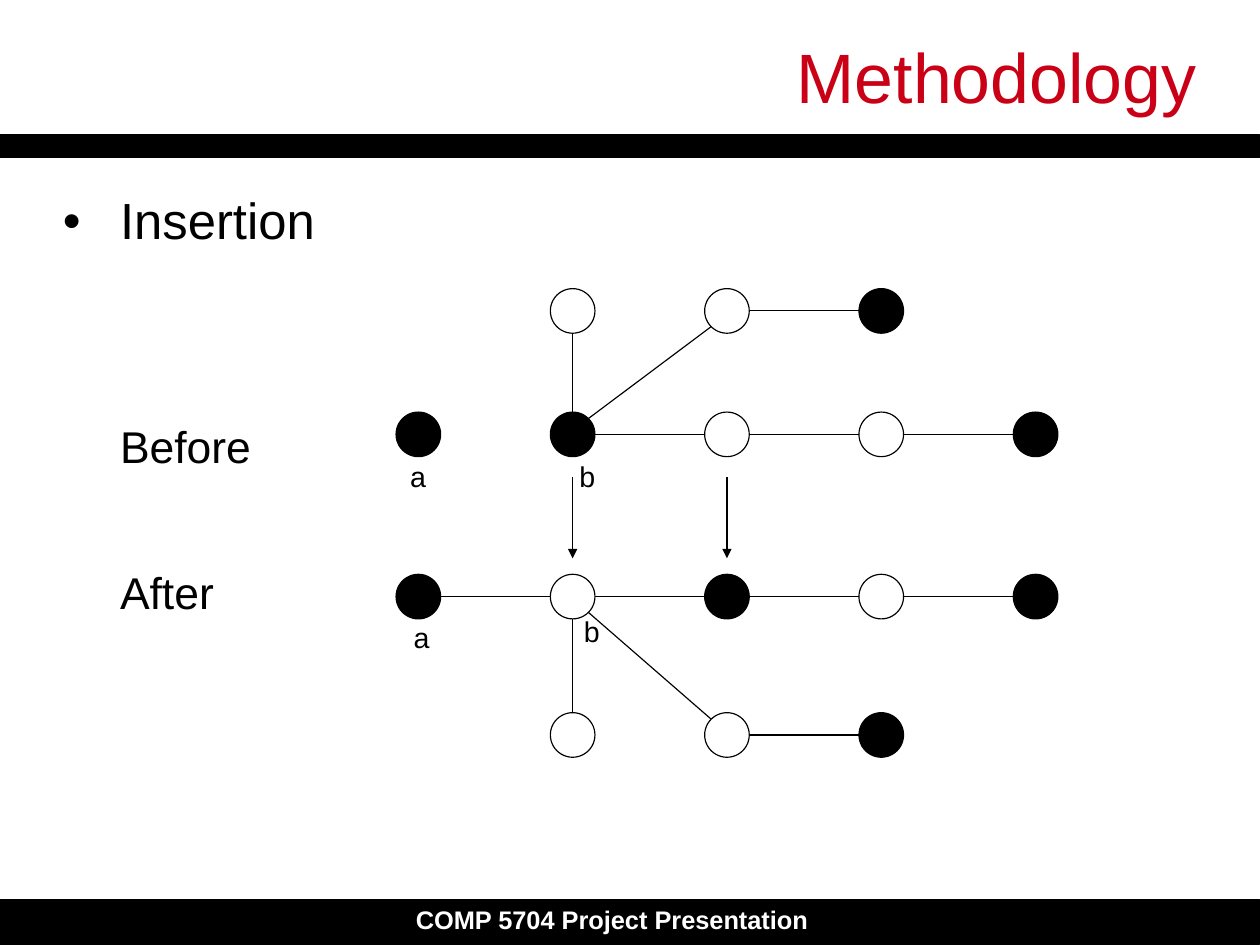
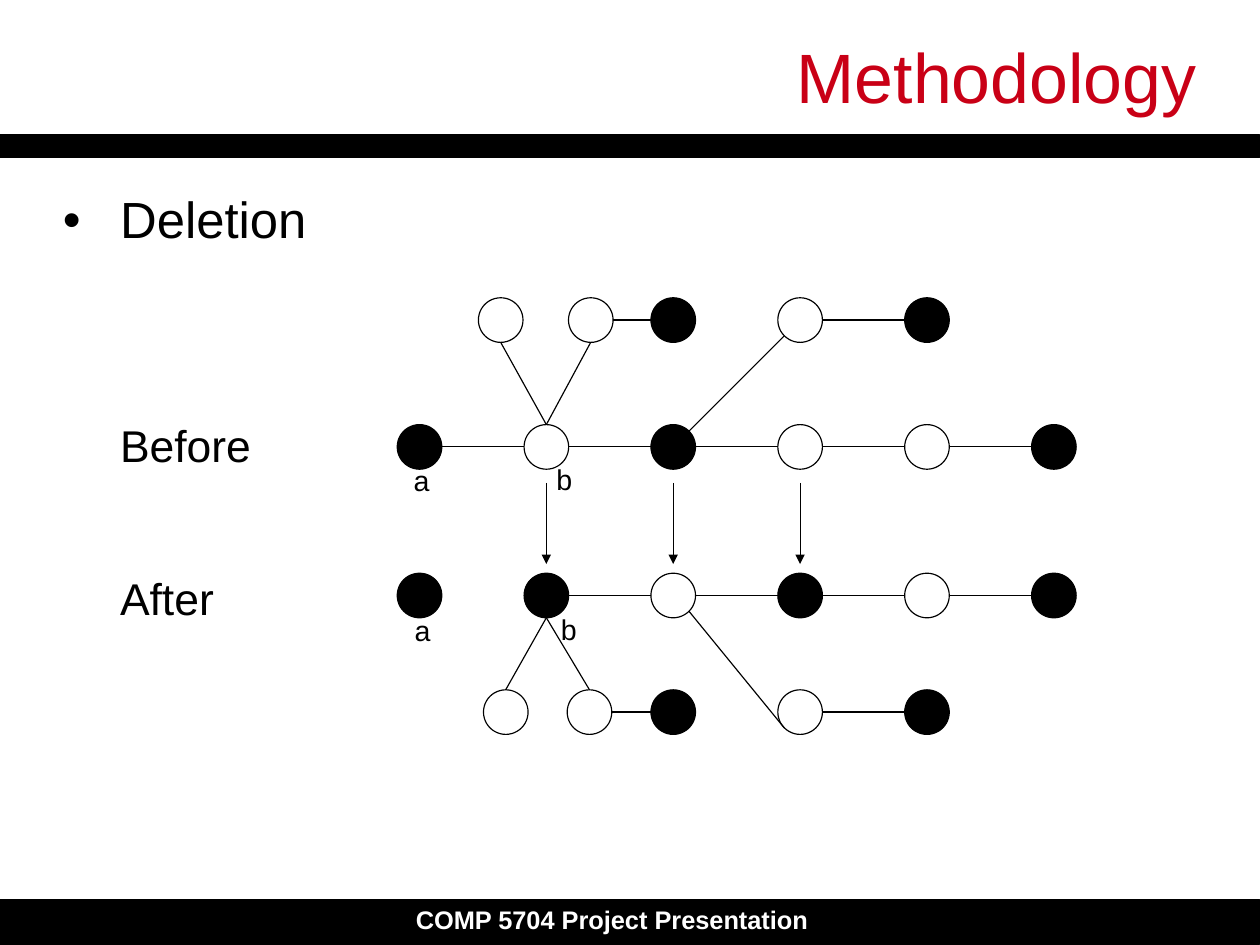
from itertools import pairwise

from lxml import etree
from pptx import Presentation
from pptx.dml.color import RGBColor
from pptx.enum.shapes import MSO_CONNECTOR, MSO_SHAPE
from pptx.enum.text import MSO_ANCHOR, MSO_AUTO_SIZE, PP_ALIGN
from pptx.oxml.ns import qn
from pptx.util import Cm, Inches, Pt

RECT, OVAL = MSO_SHAPE.RECTANGLE, MSO_SHAPE.OVAL
LINE = MSO_CONNECTOR.STRAIGHT
MIDDLE, TOP = MSO_ANCHOR.MIDDLE, MSO_ANCHOR.TOP
LEFT, RIGHT = PP_ALIGN.LEFT, PP_ALIGN.RIGHT
FIXED = MSO_AUTO_SIZE.NONE

COLOR = {"ink": "000000", "paper": "FFFFFF", "title": "C90016"}
FONT = "Arial"
WIDE, HIGH = Cm(28).inches, Cm(21).inches
EDGE = 0.05 * WIDE
SPAN = 0.9 * WIDE
INDENT = 0.5
NODE = 0.39
ARROW = 0.71
SIDES = {
    "n": (0, -1), "e": (1, 0), "s": (0, 1), "w": (-1, 0),
    "ne": (0.71, -0.71), "se": (0.71, 0.71),
    "sw": (-0.71, 0.71), "nw": (-0.71, -0.71),
}

INSERT = {
    "head": "Insertion", "top": 1.7, "gaps": (94.5, 46.5),
    "start": 3.66, "pitch": 1.35, "rows": (2.72, 3.8, 5.22, 6.43),
    "chains": (
        (0, (1,), "o"), (0, (2, 3), "o*"),
        (1, (0,), "*"), (1, (1, 2, 3, 4), "*oo*"),
        (2, (0, 1, 2, 3, 4), "*o*o*"),
        (3, (1,), "o"), (3, (2, 3), "o*"),
    ),
    "forks": (
        (1, 1, "n", 1, 0, "s"), (1, 1, "ne", 2, 0, "sw"),
        (1, 2, "s", 1, 3, "n"), (1, 2, "se", 2, 3, "nw"),
    ),
    "arrows": (1, 2),
    "tags": (
        ("a", 0, 1, -0.17, 0.19), ("b", 1, 1, -0.04, 0.19),
        ("a", 0, 2, -0.14, 0.18), ("b", 1, 2, 0, 0.13),
    ),
}
DELETE = {
    "head": "Deletion", "top": 1.69, "gaps": (94.5, 51),
    "start": 3.67, "pitch": 1.11, "rows": (2.8, 3.91, 5.21, 6.23),
    "chains": (
        (0, (0.64,), "o"), (0, (1.35, 2), "o*"), (0, (3, 4), "o*"),
        (1, (0, 1, 2, 3, 4, 5), "*o*oo*"),
        (2, (0,), "*"), (2, (1, 2, 3, 4, 5), "*o*o*"),
        (3, (0.68,), "o"), (3, (1.34, 2), "o*"), (3, (3, 4), "o*"),
    ),
    "forks": (
        (1, 1, "n", 0.64, 0, "s"), (1, 1, "n", 1.35, 0, "s"),
        (2, 1, "ne", 3, 0, "sw"),
        (1, 2, "s", 0.68, 3, "n"), (1, 2, "s", 1.34, 3, "n"),
        (2, 2, "se", 3, 3, "sw"),
    ),
    "arrows": (1, 2, 3),
    "tags": (
        ("a", 0, 1, -0.15, 0.12), ("b", 1, 1, -0.01, 0.11),
        ("a", 0, 2, -0.14, 0.13), ("b", 1, 2, 0.03, 0.12),
    ),
}


def rgb(name):
    return RGBColor.from_string(COLOR[name])


def place(left, top, width, height):
    return [Inches(n) for n in (left, top, width, height)]


def style(para, size, color="ink", bold=False, align=LEFT):
    para.alignment = align
    para.line_spacing = 0.93
    font = para.font
    font.name, font.size, font.bold = FONT, Pt(size), bold
    font.color.rgb = rgb(color)


def frame(shape, pads=(0, 0, 0, 0), anchor=TOP, wrap=True):
    text = shape.text_frame
    text.auto_size = FIXED
    text.word_wrap = wrap
    text.vertical_anchor = anchor
    (text.margin_left, text.margin_top,
     text.margin_right, text.margin_bottom) = place(*pads)
    return text


def shape(slide, kind, box, fill):
    item = slide.shapes.add_shape(kind, *place(*box))
    item.shadow.inherit = False
    if fill:
        item.fill.solid()
        item.fill.fore_color.rgb = rgb("ink")
    else:
        item.fill.background()
    item.line.color.rgb = rgb("ink")
    item.line.width = Pt(0.75)


def line(slide, start, end, arrow=False):
    item = slide.shapes.add_connector(LINE, *place(*start, *end))
    item.line.color.rgb = rgb("ink")
    item.line.width = Pt(0.75)
    props = item._element.spPr
    if arrow:
        etree.SubElement(props.find(qn("a:ln")), qn("a:tailEnd"), type="triangle")
    etree.SubElement(props, qn("a:effectLst"))


def label(slide, words, box, pads, size, color="ink", bold=False, wrap=True):
    item = slide.shapes.add_textbox(*place(*box))
    text = frame(item, pads, wrap=wrap)
    text.text = words
    style(text.paragraphs[0], size, color, bold)


def base(deck):
    slide = deck.slides.add_slide(deck.slide_layouts[5])
    shape(slide, RECT, (0, 7.87, WIDE, 0.39), True)
    label(slide, "COMP 5704 Project Presentation", (3.54, 7.87, 3.63, 0.35),
          (0.1, 0.06, 0.1, 0.05), 16, "paper", True, False)
    shape(slide, RECT, (0, 1.18, WIDE, 0.2), True)
    title = slide.shapes.title
    title.left, title.top, title.width, title.height = place(EDGE, 0.36, SPAN, 0.69)
    text = frame(title, anchor=MIDDLE)
    text.text = "Methodology"
    style(text.paragraphs[0], 44, "title", align=RIGHT)
    return slide


def bullet(props):
    props.set("indent", str(-Inches(INDENT)))
    tint = etree.SubElement(props, qn("a:buClr"))
    etree.SubElement(tint, qn("a:srgbClr"), val=COLOR["ink"])
    etree.SubElement(props, qn("a:buFont"), typeface=FONT)
    etree.SubElement(props, qn("a:buChar"), char="•")


def body(slide, plan):
    item = slide.shapes.add_textbox(*place(EDGE, plan["top"], SPAN, 5.75))
    text = frame(item)
    text.text = "\n".join((plan["head"], "Before", "After"))
    for para, gap in zip(text.paragraphs, (0, *plan["gaps"])):
        props = para._p.get_or_add_pPr()
        props.set("marL", str(Inches(INDENT)))
        if gap:
            para.space_before = Pt(gap)
        else:
            bullet(props)
        para.space_after = Pt(14.3)
        style(para, 28 if gap else 32)


def graph(slide, plan):
    def spot(col, row, side=None):
        dx, dy = SIDES.get(side, (0, 0))
        return (plan["start"] + col * plan["pitch"] + dx * NODE / 2,
                plan["rows"][row] + dy * NODE / 2)

    for row, cols, marks in plan["chains"]:
        for col, mark in zip(cols, marks):
            x, y = spot(col, row)
            shape(slide, OVAL, (x - NODE / 2, y - NODE / 2, NODE, NODE), mark == "*")
        for one, two in pairwise(cols):
            line(slide, spot(one, row, "e"), spot(two, row, "w"))
    for fork in plan["forks"]:
        line(slide, spot(*fork[:3]), spot(*fork[3:]))
    top = (plan["rows"][1] + plan["rows"][2] - ARROW) / 2 + 0.02
    for col in plan["arrows"]:
        x = spot(col, 1)[0]
        line(slide, (x, top), (x, top + ARROW), True)
    for words, col, row, dx, dy in plan["tags"]:
        x, y = spot(col, row)
        label(slide, words, (x + dx, y + dy, 0.34, 0.38), (0.1, 0.05, 0.1, 0.05), 18)


def main():
    deck = Presentation()
    deck.slide_width, deck.slide_height = Inches(WIDE), Inches(HIGH)
    for plan in (INSERT, DELETE):
        slide = base(deck)
        body(slide, plan)
        graph(slide, plan)
    deck.save("out.pptx")


if __name__ == "__main__":
    main()
